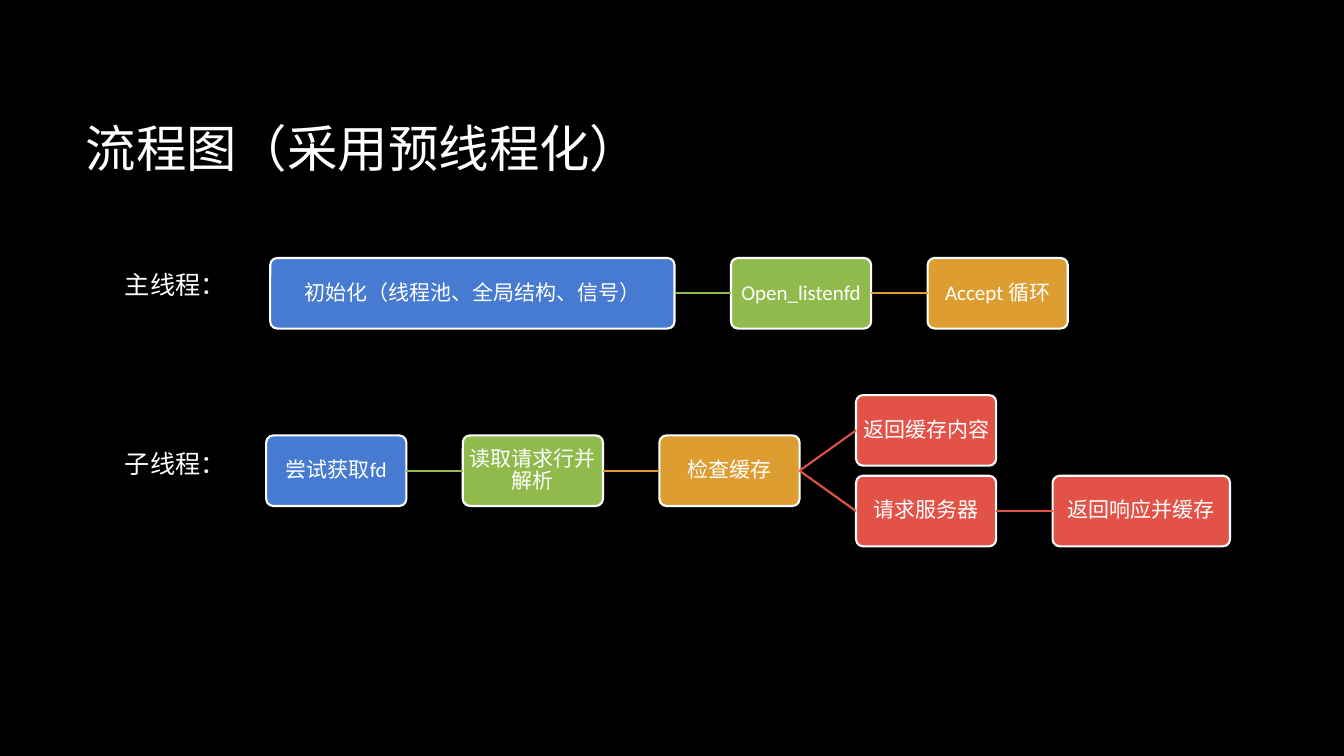
from lxml import etree
from pptx import Presentation
from pptx.dml.color import RGBColor
from pptx.enum.shapes import MSO_CONNECTOR, MSO_SHAPE
from pptx.enum.text import MSO_ANCHOR, PP_ALIGN
from pptx.oxml.ns import qn
from pptx.util import Pt

ROUNDED = MSO_SHAPE.ROUNDED_RECTANGLE
STRAIGHT = MSO_CONNECTOR.STRAIGHT
MIDDLE = MSO_ANCHOR.MIDDLE
LEFT, CENTER = PP_ALIGN.LEFT, PP_ALIGN.CENTER
LEFT_SITE, RIGHT_SITE = 1, 3
PX = 9144
TITLE_ONLY = 5

THEME = {
    "font": "Calibri",
    "background": RGBColor(0x00, 0x00, 0x00),
    "text": RGBColor(0xFF, 0xFF, 0xFF),
    "blue": RGBColor(0x47, 0x7B, 0xD1),
    "green": RGBColor(0x90, 0xBA, 0x4C),
    "orange": RGBColor(0xDD, 0x9D, 0x31),
    "red": RGBColor(0xE2, 0x52, 0x47),
    "title_size": Pt(36),
    "label_size": Pt(18),
    "step_size": Pt(15),
    "line_width": Pt(1.5),
}


def px(*lengths):
    return [length * PX for length in lengths]


def write(text_frame, text, size, alignment):
    text_frame.text = text
    paragraph = text_frame.paragraphs[0]
    paragraph.alignment = alignment
    font = paragraph.runs[0].font
    font.name = THEME["font"]
    font.size = size
    font.color.rgb = THEME["text"]
    return paragraph


presentation = Presentation()
presentation.slide_width, presentation.slide_height = px(1333, 750)
slide = presentation.slides.add_slide(presentation.slide_layouts[TITLE_ONLY])
slide.background.fill.solid()
slide.background.fill.fore_color.rgb = THEME["background"]

title = slide.shapes.title
title.left, title.top, title.width, title.height = px(75, 67, 1108, 159)
title.text_frame.vertical_anchor = MIDDLE
write(title.text_frame, "流程图（采用预线程化）", THEME["title_size"], LEFT)

STEP_WIDTH, STEP_HEIGHT, STEP_GAP = 139, 70, 56
COLUMN = STEP_WIDTH + STEP_GAP
MAIN_LEFT, MAIN_TOP, INIT_WIDTH = 268, 256, 401
CHILD_LEFT, CHILD_TOP, BRANCH_SHIFT = 264, 432, 40
LISTEN_LEFT = MAIN_LEFT + INIT_WIDTH + STEP_GAP

steps = [
    ("初始化（线程池、全局结构、信号）", MAIN_LEFT, MAIN_TOP, INIT_WIDTH, "blue", None),
    ("Open_listenfd", LISTEN_LEFT, MAIN_TOP, STEP_WIDTH, "green",
     "初始化（线程池、全局结构、信号）"),
    ("Accept 循环", LISTEN_LEFT + COLUMN, MAIN_TOP, STEP_WIDTH, "orange", "Open_listenfd"),
    ("尝试获取fd", CHILD_LEFT, CHILD_TOP, STEP_WIDTH, "blue", None),
    ("读取请求行并解析", CHILD_LEFT + COLUMN, CHILD_TOP, STEP_WIDTH, "green", "尝试获取fd"),
    ("检查缓存", CHILD_LEFT + 2 * COLUMN, CHILD_TOP, STEP_WIDTH, "orange", "读取请求行并解析"),
    ("返回缓存内容", CHILD_LEFT + 3 * COLUMN, CHILD_TOP - BRANCH_SHIFT, STEP_WIDTH, "red",
     "检查缓存"),
    ("请求服务器", CHILD_LEFT + 3 * COLUMN, CHILD_TOP + BRANCH_SHIFT, STEP_WIDTH, "red",
     "检查缓存"),
    ("返回响应并缓存", CHILD_LEFT + 4 * COLUMN, CHILD_TOP + BRANCH_SHIFT, 176, "red",
     "请求服务器"),
]

boxes = {}
for text, left, top, width, color, previous in steps:
    box = slide.shapes.add_shape(ROUNDED, *px(left, top, width, STEP_HEIGHT))
    box.shadow.inherit = False
    box.adjustments[0] = 0.1
    box.fill.solid()
    box.fill.fore_color.rgb = THEME[color]
    box.line.color.rgb = THEME["text"]
    box.line.width = THEME["line_width"]
    frame = box.text_frame
    frame.word_wrap = True
    frame.vertical_anchor = MIDDLE
    frame.margin_left, frame.margin_top, frame.margin_right, frame.margin_bottom = px(1, 1, 1, 1)
    write(frame, text, THEME["step_size"], CENTER).line_spacing = 0.9
    boxes[text] = box

    if previous:
        connector = slide.shapes.add_connector(STRAIGHT, 0, 0, 0, 0)
        connector.begin_connect(boxes[previous], RIGHT_SITE)
        connector.end_connect(box, LEFT_SITE)
        connector.line.color.rgb = THEME[color]
        connector.line.width = THEME["line_width"]
        etree.SubElement(connector._element.spPr, qn("a:effectLst"))

for text, top in (("主线程：", 262), ("子线程：", 440)):
    label = slide.shapes.add_textbox(*px(114, top, 121, 40))
    label.text_frame.word_wrap = False
    write(label.text_frame, text, THEME["label_size"], LEFT)

presentation.save("out.pptx")
